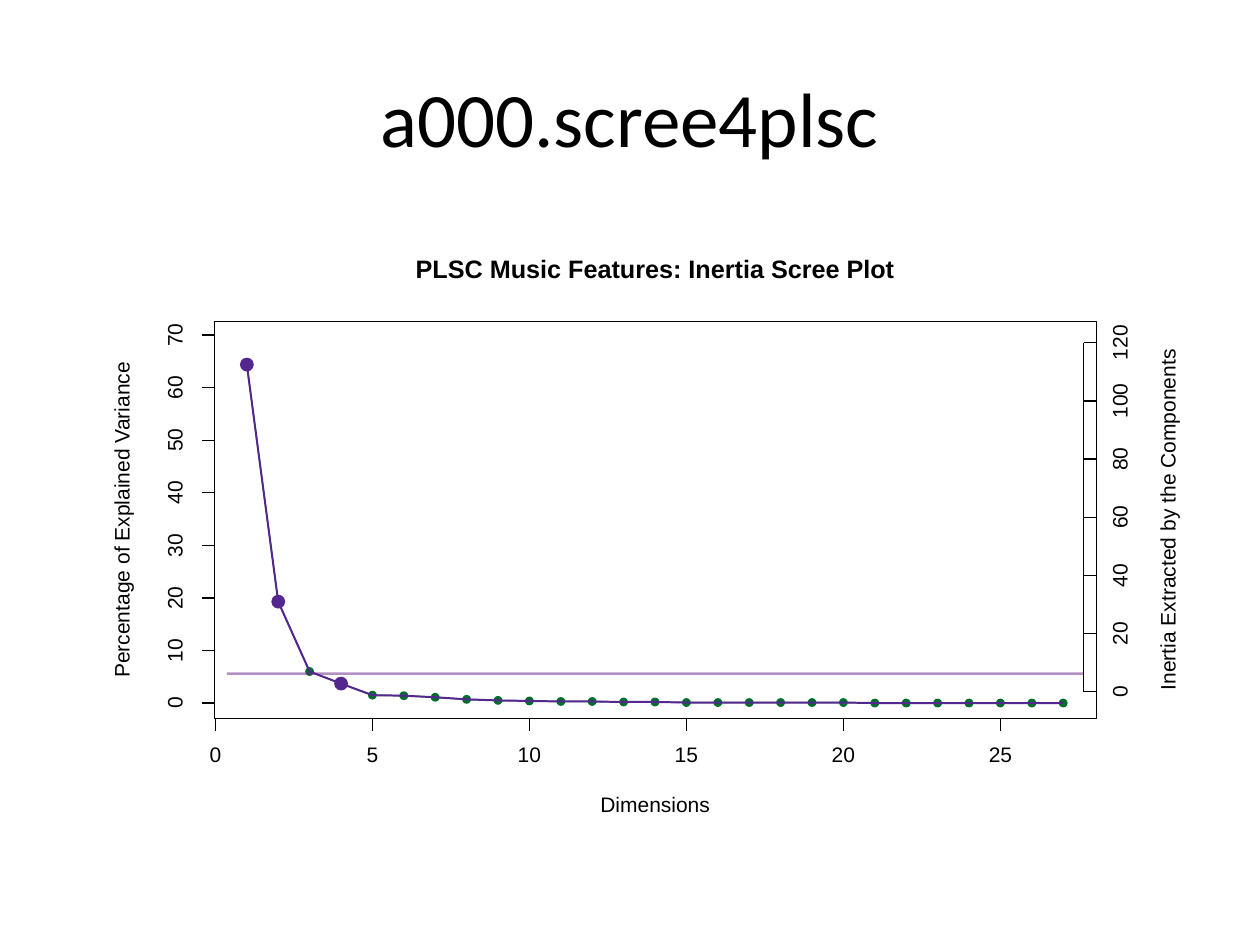
from lxml.etree import SubElement
from pptx import Presentation
from pptx.dml.color import RGBColor
from pptx.enum.shapes import MSO_CONNECTOR, MSO_SHAPE
from pptx.enum.text import MSO_ANCHOR, PP_ALIGN
from pptx.oxml.ns import qn
from pptx.util import Inches, Pt

COLORS = {"ink": "000000", "paper": "FFFFFF", "green": "006D2C",
          "purple": "54278F", "mean": "68228B"}
SHARES = [64.4, 19.3, 6, 3.7, 1.5, 1.4, 1.1, 0.7, 0.5, 0.4, 0.3, 0.3,
          0.2, 0.2] + [0.1] * 6 + [0] * 7
KEY_DIMS = (1, 2, 4)
MEAN_SHARE = 5.6


def color(name):
    """Return the named colour."""
    return RGBColor.from_string(COLORS[name])


def format_text(frame, text, font="Arial", size=12, bold=False, tint="ink",
                spacing=None):
    """Write one centred line of text with its format."""
    frame.text = text
    frame.vertical_anchor = MSO_ANCHOR.MIDDLE
    para = frame.paragraphs[0]
    para.alignment = PP_ALIGN.CENTER
    if spacing:
        para.line_spacing = Pt(spacing)
    style = para.runs[0].font
    style.name, style.size, style.bold = font, Pt(size), bold
    style.color.rgb = color(tint)


def add_label(group, text, x, y, width, height=0.12, turn=0, size=12, bold=False):
    """Add a label centred on a point, turned by the given angle."""
    label = group.shapes.add_textbox(Inches(x - width / 2), Inches(y - height / 2),
                                     Inches(width), Inches(height))
    label.rotation = turn
    frame = label.text_frame
    frame.margin_left = frame.margin_right = 0
    frame.margin_top = frame.margin_bottom = 0
    frame.word_wrap = False
    format_text(frame, text, size=size, bold=bold, spacing=size)


def add_line(group, start, end, tint="ink", width=0.75, alpha=None):
    """Add a straight line, see-through if alpha is given in percent."""
    line = group.shapes.add_connector(
        MSO_CONNECTOR.STRAIGHT, *(Inches(n) for n in (*start, *end)))
    line.line.color.rgb = color(tint)
    line.line.width = Pt(width)
    if alpha:
        fill = line._element.spPr.find(".//" + qn("a:srgbClr"))
        SubElement(fill, qn("a:alpha")).set("val", str(alpha * 1000))
    SubElement(line._element.spPr, qn("a:effectLst"))


def add_path(group, points, tint, width=0.75, closed=False):
    """Add an unfilled outline through the points."""
    spots = [(Inches(x), Inches(y)) for x, y in points]
    builder = group.shapes.build_freeform(*spots[0], scale=1.0)
    builder.add_line_segments(spots[1:], close=closed)
    path = builder.convert_to_shape()
    path.shadow.inherit = False
    path.fill.background()
    path.line.color.rgb = color(tint)
    path.line.width = Pt(width)


def add_dot(group, center, size, tint):
    """Add a filled dot centred on a point."""
    x, y = center
    dot = group.shapes.add_shape(MSO_SHAPE.OVAL, Inches(x - size / 2),
                                 Inches(y - size / 2), Inches(size), Inches(size))
    dot.shadow.inherit = False
    dot.fill.solid()
    dot.fill.fore_color.rgb = color(tint)
    dot.line.fill.background()


def add_axis(group, values, spot, tick, gap, turn=0):
    """Add an axis line with ticks and numbers; spot maps value to point."""
    add_line(group, spot(values[0]), spot(values[-1]))
    for value in values:
        x, y = spot(value)
        add_line(group, (x, y), (x + tick[0], y + tick[1]))
        add_label(group, str(value), x + gap[0], y + gap[1],
                  0.1 * len(str(value)), turn=turn)


def add_panel(group, left, top, width, height):
    """Add the white panel behind the plot."""
    panel = group.shapes.add_shape(MSO_SHAPE.RECTANGLE, Inches(left), Inches(top),
                                   Inches(width), Inches(height))
    panel.shadow.inherit = False
    panel.fill.solid()
    panel.fill.fore_color.rgb = color("paper")
    panel.line.color.rgb = color("paper")
    panel.line.width = Pt(0.75)


def add_scree(slide, left, top, width, height):
    """Add the scree plot inside its box."""
    group = slide.shapes.add_group_shape()
    add_panel(group, left, top, width, height)
    west, north = left + 1.2, top + 0.8
    east, south = left + width - 0.8, top + height - 1
    mid_x, mid_y = (west + east) / 2, (north + south) / 2
    step, rise = 6.23 / 25, 2.92 / 70

    def spot(dim, share):
        return west + 0.01 + dim * step, south - 0.12 - share * rise

    curve = [spot(dim, share) for dim, share in enumerate(SHARES, 1)]
    add_path(group, curve, "green")
    add_axis(group, range(0, 26, 5), lambda v: (spot(v, 0)[0], south),
             (0, 0.1), (0, 0.3))
    add_axis(group, range(0, 71, 10), lambda v: (west, spot(0, v)[1]),
             (-0.1, 0), (-0.3, 0), 270)
    add_path(group, [(west, south), (east, south), (east, north), (west, north)],
             "ink", closed=True)
    add_label(group, "PLSC Music Features: Inertia Scree Plot", mid_x, north - 0.4,
              3.9, height=0.15, size=14.4, bold=True)
    add_label(group, "Dimensions", mid_x, south + 0.7, 0.95)
    add_label(group, "Percentage of Explained Variance", west - 0.72, mid_y,
              2.6, height=0.16, turn=270)
    for point in curve:
        add_dot(group, point, 0.07, "green")
    add_path(group, curve, "purple", width=1.12)
    for dim in KEY_DIMS:
        add_dot(group, curve[dim - 1], 0.11, "purple")
    mean_y = spot(0, MEAN_SHARE)[1]
    add_line(group, (west + 0.1, mean_y), (east - 0.1, mean_y), "mean", 1.5, 50)
    add_label(group, "Inertia Extracted by the Components", east + 0.58, mid_y,
              2.8, height=0.16, turn=270)
    add_axis(group, range(0, 121, 20),
             lambda v: (east - 0.1, south - 0.21 - v * 2.77 / 120),
             (0.1, 0), (0.3, 0), 270)


def add_title(slide, text, left, top, width, height):
    """Place and fill the title placeholder."""
    title = slide.shapes.title
    title.left, title.top = Inches(left), Inches(top)
    title.width, title.height = Inches(width), Inches(height)
    format_text(title.text_frame, text, font="Calibri", size=44)


def main():
    """Build and save the slide."""
    deck = Presentation()
    deck.slide_width, deck.slide_height = Inches(10), Inches(7.5)
    slide = deck.slides.add_slide(deck.slide_layouts[5])
    add_title(slide, "a000.scree4plsc", 0.5, 0.3, 9, 1.25)
    add_scree(slide, 0.5, 1.75, 9, 4.95)
    deck.save("out.pptx")


main()
